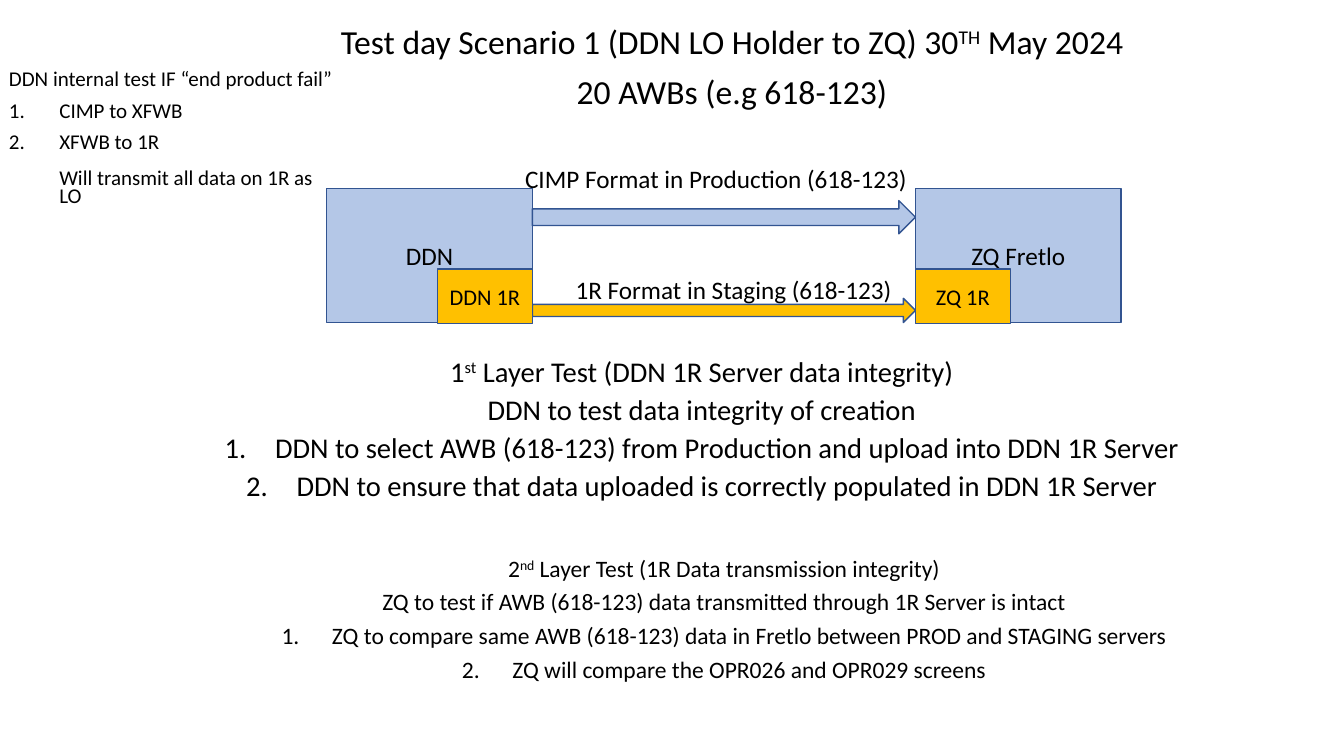
from dataclasses import dataclass

from lxml import etree
from pptx import Presentation
from pptx.dml.color import RGBColor
from pptx.enum import shapes, text
from pptx.oxml.ns import qn
from pptx.util import Inches, Pt


@dataclass(frozen=True)
class Theme:
    font: str = "Calibri"
    ink: RGBColor = RGBColor(0, 0, 0)
    blue: RGBColor = RGBColor(0xB4, 0xC7, 0xE7)
    amber: RGBColor = RGBColor(0xFF, 0xC0, 0x00)
    outline: RGBColor = RGBColor(0x32, 0x54, 0x91)
    title: float = 24
    first_layer: float = 20.4
    second_layer: float = 16.8
    label: float = 18
    server: float = 16
    note: float = 15


THEME = Theme()
CENTER, LEFT = text.PP_ALIGN.CENTER, text.PP_ALIGN.LEFT
RECT, ARROW = shapes.MSO_SHAPE.RECTANGLE, shapes.MSO_SHAPE.RIGHT_ARROW


def write(frame, lines, size, align=CENTER, spacing=1.0, before=0):
    """Fill a frame: ^x^ is superscript, "# " a numbered line, "> " an indented one."""
    frame.word_wrap = True
    for index, line in enumerate(lines):
        para = frame.paragraphs[0] if index == 0 else frame.add_paragraph()
        para.alignment = align
        para.line_spacing = spacing
        para.space_before = Pt(12.8 if line.startswith("> ") else before)
        props = para._p.get_or_add_pPr()
        if line.startswith(("# ", "> ")):
            props.set("marL", str(Inches(0.5)))
        if line.startswith("# "):
            props.set("indent", str(Inches(-0.5)))
            etree.SubElement(props, qn("a:buFont"), typeface="+mj-lt")
            etree.SubElement(props, qn("a:buAutoNum"), type="arabicPeriod")
        for part, words in enumerate(line.removeprefix("# ").removeprefix("> ").split("^")):
            span = para.add_run()
            span.text = words
            span.font.name = THEME.font
            span.font.size = Pt(size)
            span.font.color.rgb = THEME.ink
            if part % 2:
                span._r.get_or_add_rPr().set("baseline", "30000")


deck = Presentation()
deck.slide_width, deck.slide_height = Inches(13.33), Inches(7.5)
page = deck.slides.add_slide(deck.slide_layouts[5])

title = page.shapes.title
title.left, title.top, title.width, title.height = map(Inches, (2.26, 0.2, 10, 1.81))
title.text_frame.auto_size = text.MSO_AUTO_SIZE.NONE
title.text_frame.vertical_anchor = text.MSO_ANCHOR.TOP
write(
    title.text_frame,
    ["Test day Scenario 1 (DDN LO Holder to ZQ) 30^TH^ May 2024", "20 AWBs (e.g 618-123)"],
    THEME.title, spacing=0.9, before=10,
)

# Systems, their 1R servers and the flows between them
sender_right, receiver_left = 5.28, 9.08
system_width, server_width = 2.04, 0.94
flow_width = receiver_left - sender_right
diagram = [
    (RECT, sender_right - system_width, 1.87, system_width, 1.33, THEME.blue, "DDN", THEME.label),
    (RECT, receiver_left, 1.87, system_width, 1.33, THEME.blue, "ZQ Fretlo", THEME.label),
    (ARROW, sender_right, 2.96, flow_width, 0.24, THEME.amber, "", THEME.label),
    (ARROW, sender_right, 1.99, flow_width, 0.33, THEME.blue, "", THEME.label),
    (RECT, sender_right - server_width, 2.67, server_width, 0.54, THEME.amber, "DDN 1R", THEME.server),
    (RECT, receiver_left, 2.67, server_width, 0.54, THEME.amber, "ZQ 1R", THEME.server),
]
for preset, left, top, width, height, fill, words, size in diagram:
    box = page.shapes.add_shape(preset, *map(Inches, (left, top, width, height)))
    box.shadow.inherit = False
    box.fill.solid()
    box.fill.fore_color.rgb = fill
    box.line.color.rgb = THEME.outline
    box.line.width = Pt(1)
    if words:
        write(box.text_frame, [words], size)

flow_labels = [
    (5.11, 1.57, 4.3, "CIMP Format in Production (618-123)"),
    (5.61, 2.67, 3.68, "1R Format in Staging (618-123)"),
]
for left, top, width, words in flow_labels:
    label = page.shapes.add_textbox(*map(Inches, (left, top, width, 0.4)))
    write(label.text_frame, [words], THEME.label, align=LEFT)

test_notes = [
    (1.96, 3.55, 10, THEME.first_layer, CENTER, [
        "1^st^ Layer Test (DDN 1R Server data integrity)",
        "DDN to test data integrity of creation",
        "# DDN to select AWB (618-123) from Production and upload into DDN 1R Server",
        "# DDN to ensure that data uploaded is correctly populated in DDN 1R Server",
    ]),
    (2.18, 5.52, 10, THEME.second_layer, CENTER, [
        "2^nd^ Layer Test (1R Data transmission integrity)",
        "ZQ to test if AWB (618-123) data transmitted through 1R Server is intact",
        "# ZQ to compare same AWB (618-123) data in Fretlo between PROD and STAGING servers",
        "# ZQ will compare the OPR026 and OPR029 screens",
    ]),
    (-0.01, 0.67, 3.42, THEME.note, LEFT, [
        "DDN internal test IF “end product fail”",
        "# CIMP to XFWB",
        "# XFWB to 1R",
        "> Will transmit all data on 1R as LO",
    ]),
]
for left, top, width, size, align, lines in test_notes:
    note = page.shapes.add_textbox(*map(Inches, (left, top, width, 1.81)))
    write(note.text_frame, lines, size, align=align, spacing=0.7, before=10)

deck.save("out.pptx")
